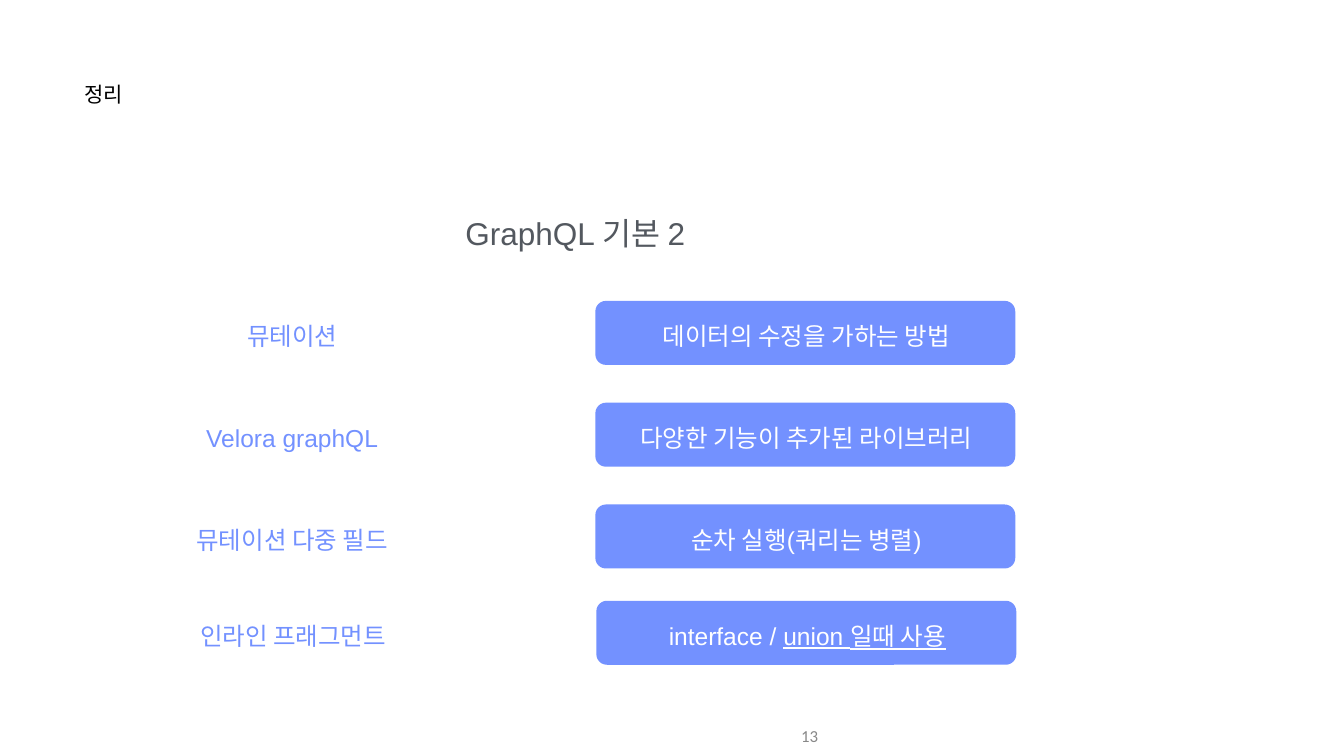
from dataclasses import dataclass

from pptx import Presentation
from pptx.dml.color import RGBColor
from pptx.enum.shapes import MSO_SHAPE
from pptx.enum.text import MSO_ANCHOR, MSO_AUTO_SIZE, PP_ALIGN
from pptx.util import Inches, Pt

ROUNDED = MSO_SHAPE.ROUNDED_RECTANGLE
TOP, MIDDLE = MSO_ANCHOR.TOP, MSO_ANCHOR.MIDDLE
LEFT, CENTER, RIGHT = PP_ALIGN.LEFT, PP_ALIGN.CENTER, PP_ALIGN.RIGHT
NO_FIT = MSO_AUTO_SIZE.NONE

BLUE, WHITE, BLACK = "7391FF", "FFFFFF", "000000"
SLATE, GRAY = "53585F", "888888"


@dataclass
class SummaryRow:
    term: str
    meaning: str
    top: float
    underlined: str = ""
    shift: float = 0


ROWS = [
    SummaryRow("뮤테이션", "데이터의 수정을 가하는 방법", 5.97),
    SummaryRow("Velora graphQL", "다양한 기능이 추가된 라이브러리", 7.99),
    SummaryRow("뮤테이션 다중 필드", "순차 실행(쿼리는 병렬)", 10.01),
    SummaryRow("인라인 프래그먼트", "interface / ", 11.92, "union 일때 사용", 0.02),
]


def color(value: str) -> RGBColor:
    return RGBColor.from_string(value)


def write(shape, text: str, size: float, fill: str, align=CENTER, anchor=MIDDLE,
          font: str = "Arial", inset: tuple = (0.01, 0.01), underlined: str = "") -> None:
    tf = shape.text_frame
    tf.text = text
    tf.word_wrap = True
    tf.auto_size = NO_FIT
    tf.vertical_anchor = anchor
    tf.margin_left = tf.margin_right = Inches(inset[0])
    tf.margin_top = tf.margin_bottom = Inches(inset[1])
    p = tf.paragraphs[0]
    p.alignment = align
    if underlined:
        r = p.add_run()
        r.text = underlined
        r.font.underline = True
    for r in p.runs:
        r.font.name = font
        r.font.size = Pt(size)
        r.font.color.rgb = color(fill)


def add_text(s, box: tuple, text: str, size: float, fill: str, **style) -> None:
    write(s.shapes.add_textbox(*map(Inches, box)), text, size, fill, **style)


def add_row(s, row: SummaryRow) -> None:
    # Blue panel behind the meaning
    sp = s.shapes.add_shape(ROUNDED, Inches(11.81 + row.shift), Inches(row.top),
                            Inches(8.33), Inches(1.27))
    sp.adjustments[0] = 0.164
    sp.shadow.inherit = False
    sp.fill.solid()
    sp.fill.fore_color.rgb = color(BLUE)
    sp.line.fill.background()
    # Term on the left, meaning on the panel
    text_top = row.top + 0.38
    add_text(s, (2.67 + row.shift, text_top, 6.25, 0.62), row.term, 35, BLUE)
    add_text(s, (11.83 + row.shift, text_top, 8.33, 0.62), row.meaning, 35, WHITE,
             underlined=row.underlined)


def main() -> None:
    prs = Presentation()
    prs.slide_width, prs.slide_height = Inches(26.66), Inches(15)
    s = prs.slides.add_slide(prs.slide_layouts[5])

    # Title
    title = s.shapes.title
    title.left, title.top = Inches(1.67), Inches(1.6)
    title.width, title.height = Inches(4.86), Inches(1.18)
    write(title, "정리", 30, BLACK, align=LEFT, anchor=TOP)

    # Topic heading
    add_text(s, (2.64, 4.24, 17.54, 0.79), "GraphQL 기본 2", 45, SLATE, anchor=TOP)

    # Summary rows
    for row in ROWS:
        add_row(s, row)

    # Page number
    add_text(s, (10.33, 14.21, 6, 0.79), "13", 24, GRAY, align=RIGHT,
             font="Calibri", inset=(0.1, 0.05))

    prs.save("out.pptx")


if __name__ == "__main__":
    main()
